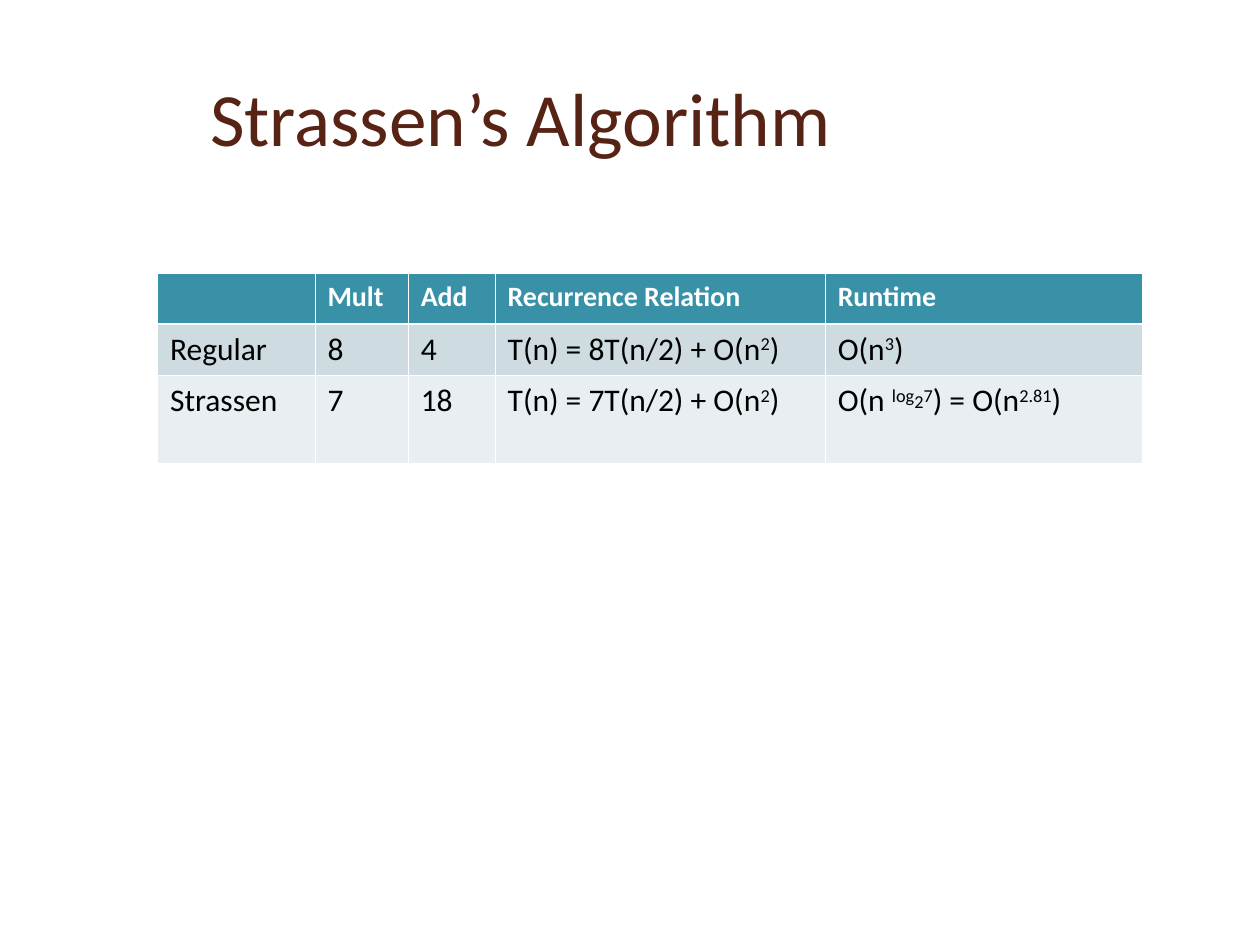
"""Build a slide comparing regular and Strassen matrix multiplication."""
from lxml import etree
from pptx import Presentation
from pptx.dml.color import RGBColor
from pptx.enum.text import MSO_ANCHOR
from pptx.oxml.ns import qn
from pptx.util import Inches, Pt

MIDDLE = MSO_ANCHOR.MIDDLE
FONT = "Calibri"
COLORS = {
    "title": "572314",
    "header": "3891A7",
    "regular": "CEDCE1",
    "strassen": "E8EEF1",
    "white": "FFFFFF",
    "black": "000000",
}
TITLE = "Strassen’s Algorithm"
SQUARED = [("2", 30), (")", 0)]
ROWS = [
    ["", "Mult", "Add", "Recurrence Relation", "Runtime"],
    ["Regular", "8", "4",
     [("T(n) = 8T(n/2) + O(n", 0), *SQUARED],
     [("O(n", 0), ("3", 30), (")", 0)]],
    ["Strassen", "7", "18",
     [("T(n) = 7T(n/2) + O(n", 0), *SQUARED],
     [("O(n ", 0), ("log", 30), ("2", 10), ("7", 30),
      (") = O(n", 0), ("2.81", 30), (")", 0)]],
]
COLUMN_WIDTHS = [1.25, 0.74, 0.69, 2.62, 2.52]
ROW_HEIGHTS = [0.4, 0.41, 0.7]
ROW_FILLS = ["header", "regular", "strassen"]
THIN, THICK = 0.45, 1.47


def style_font(font, size, color, bold=False):
    font.name = FONT
    font.size = Pt(size)
    font.bold = bold
    font.color.rgb = RGBColor.from_string(COLORS[color])


def add_borders(cell, top, bottom):
    properties = cell._tc.get_or_add_tcPr()
    for side, width in (("L", THIN), ("R", THIN), ("T", top), ("B", bottom)):
        line = etree.SubElement(properties, qn(f"a:ln{side}"), w=str(int(Pt(width))))
        solid = etree.SubElement(line, qn("a:solidFill"))
        etree.SubElement(solid, qn("a:srgbClr"), val=COLORS["white"])


def fill_cell(cell, content, row):
    is_header = row == 0
    add_borders(cell, THICK if row == 1 else THIN, THICK if is_header else THIN)
    cell.fill.solid()
    cell.fill.fore_color.rgb = RGBColor.from_string(COLORS[ROW_FILLS[row]])
    paragraph = cell.text_frame.paragraphs[0]
    pieces = [(content, 0)] if isinstance(content, str) else content
    for text, baseline in pieces:
        if not text:
            continue
        run = paragraph.add_run()
        run.text = text
        style_font(run.font, 16 if is_header else 18,
                   "white" if is_header else "black", is_header)
        if baseline:
            run._r.get_or_add_rPr().set("baseline", str(baseline * 1000))


def add_title(slide):
    title = slide.shapes.add_textbox(Inches(1.57), Inches(0.3), Inches(8.2), Inches(1.25))
    frame = title.text_frame
    frame.word_wrap = True
    frame.vertical_anchor = MIDDLE
    frame.text = TITLE
    style_font(frame.paragraphs[0].runs[0].font, 43, "title")


def add_comparison(slide):
    comparison = slide.shapes.add_table(
        len(ROWS), len(COLUMN_WIDTHS), Inches(1.25), Inches(2.17),
        Inches(sum(COLUMN_WIDTHS)), Inches(sum(ROW_HEIGHTS))).table
    for column, width in zip(comparison.columns, COLUMN_WIDTHS):
        column.width = Inches(width)
    for row, (contents, height) in enumerate(zip(ROWS, ROW_HEIGHTS)):
        comparison.rows[row].height = Inches(height)
        for column, content in enumerate(contents):
            fill_cell(comparison.cell(row, column), content, row)


def main():
    deck = Presentation()
    deck.slide_width, deck.slide_height = Inches(10), Inches(7.5)
    slide = deck.slides.add_slide(deck.slide_layouts[6])
    add_title(slide)
    add_comparison(slide)
    deck.save("out.pptx")


if __name__ == "__main__":
    main()
